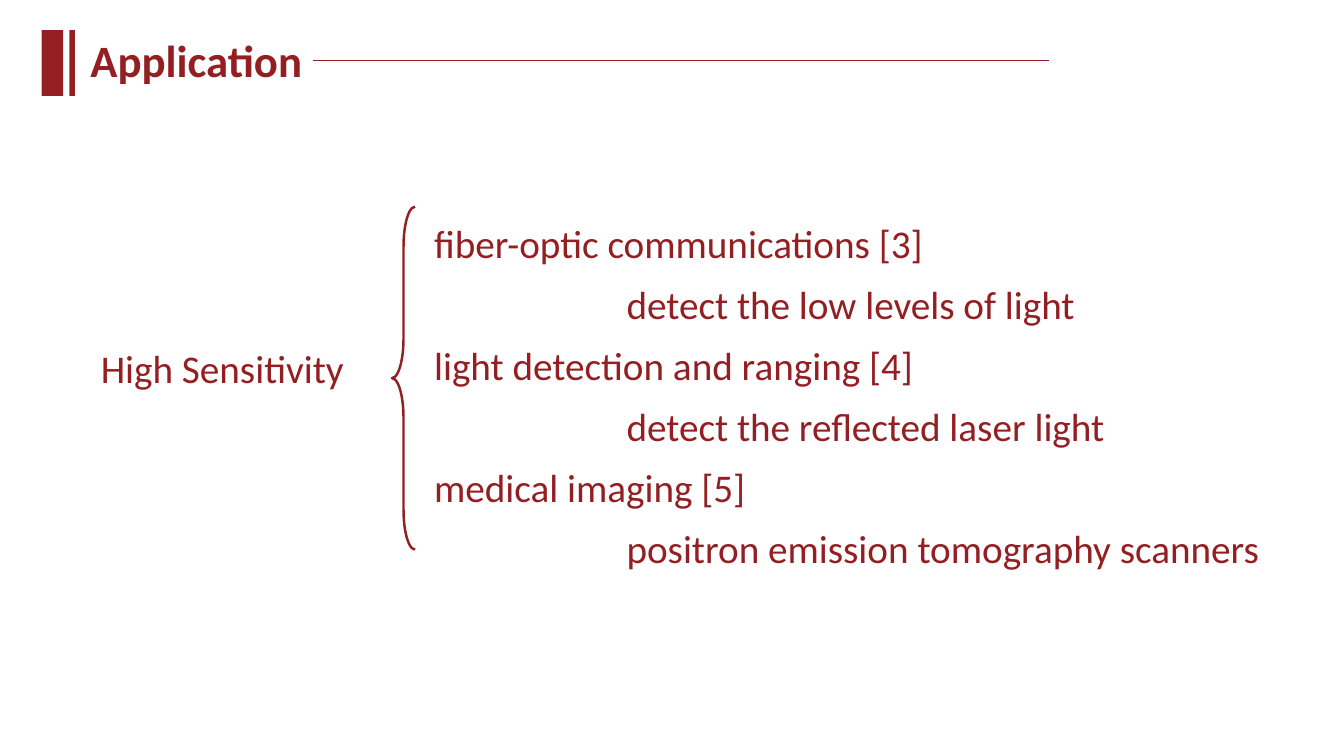
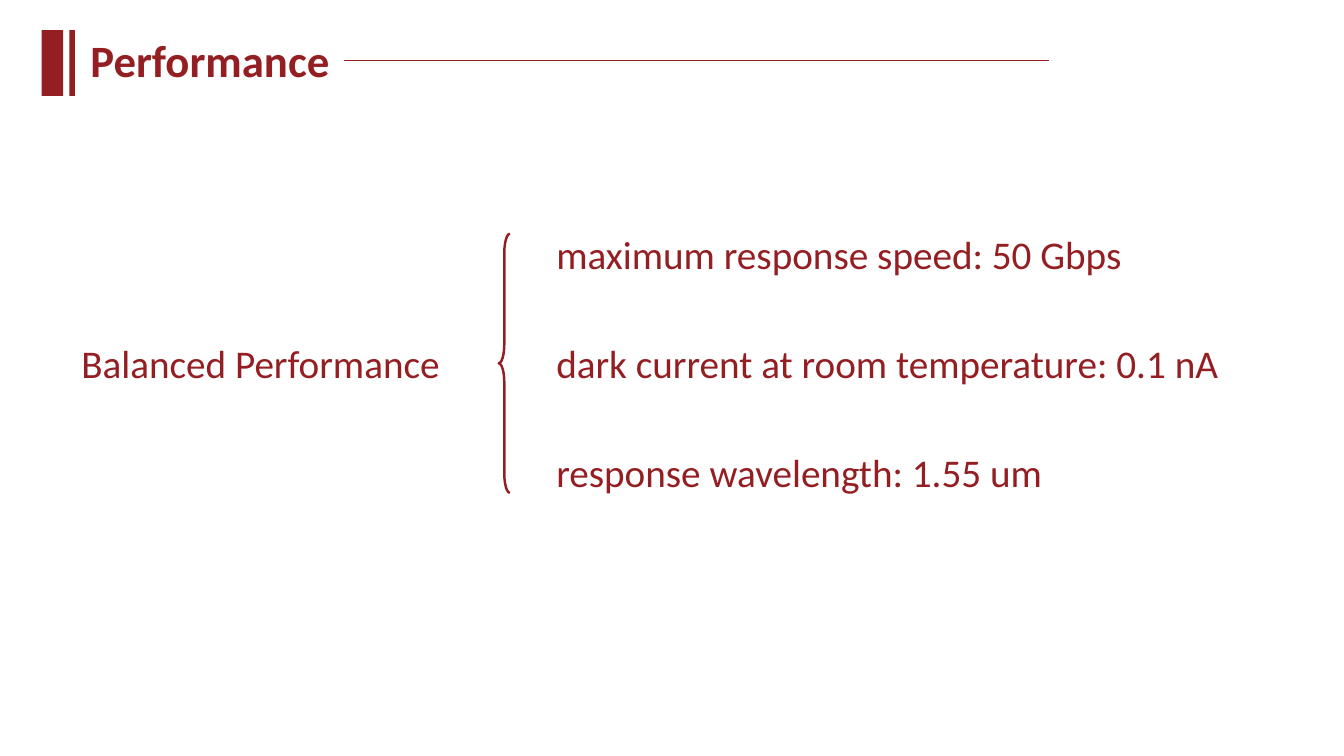
from lxml import etree
from pptx import Presentation
from pptx.dml.color import RGBColor
from pptx.enum.shapes import MSO_CONNECTOR, MSO_SHAPE
from pptx.enum.text import MSO_AUTO_SIZE
from pptx.oxml.ns import qn
from pptx.util import Cm, Pt

RECTANGLE = MSO_SHAPE.RECTANGLE
LEFT_BRACE = MSO_SHAPE.LEFT_BRACE
STRAIGHT = MSO_CONNECTOR.STRAIGHT
FIT_SHAPE = MSO_AUTO_SIZE.SHAPE_TO_FIT_TEXT
RIGHT_SIDE = 3
BLANK_LAYOUT = 6


def color(hex_value):
    return RGBColor.from_string(hex_value)


class Deck:
    """Hold the shared style and draw elements on the current slide."""

    FONT = "Calibri"
    ACCENT = "941F23"
    TITLE_SIZE = 32
    BODY_SIZE = 28
    TITLE_HEIGHT = 1.63
    BODY_HEIGHT = 1.45
    RULE_END = 26.44

    def __init__(self):
        self.presentation = Presentation()
        self.presentation.slide_width = Cm(33.87)
        self.presentation.slide_height = Cm(19.05)
        self.slide = None

    def start_slide(self, title, title_width):
        layout = self.presentation.slide_layouts[BLANK_LAYOUT]
        self.slide = self.presentation.slides.add_slide(layout)
        for left, width in ((1.05, 0.54), (1.75, 0.14)):
            self.bar(left, 0.76, width, 1.66)
        heading = self.text(title, 2.03, 0.71, title_width, self.TITLE_HEIGHT,
                            self.TITLE_SIZE, bold=True, wrap=True)
        self.rule(heading)

    def bar(self, left, top, width, height):
        bar = self.slide.shapes.add_shape(
            RECTANGLE, Cm(left), Cm(top), Cm(width), Cm(height))
        bar.shadow.inherit = False
        bar.fill.solid()
        bar.fill.fore_color.rgb = color(self.ACCENT)
        bar.line.fill.background()

    def rule(self, heading):
        middle = heading.top + heading.height // 2
        rule = self.slide.shapes.add_connector(
            STRAIGHT, heading.left + heading.width, middle,
            Cm(self.RULE_END), middle)
        rule.begin_connect(heading, RIGHT_SIDE)
        rule.line.color.rgb = color(self.ACCENT)
        rule.line.width = Pt(1.25)
        etree.SubElement(rule._element.spPr, qn("a:effectLst"))

    def text(self, words, left, top, width, height=BODY_HEIGHT,
             size=BODY_SIZE, bold=False, wrap=False):
        box = self.slide.shapes.add_textbox(
            Cm(left), Cm(top), Cm(width), Cm(height))
        frame = box.text_frame
        frame.text = words
        frame.word_wrap = wrap
        frame.auto_size = FIT_SHAPE
        font = frame.paragraphs[0].runs[0].font
        font.name = self.FONT
        font.size = Pt(size)
        font.bold = bold
        font.color.rgb = color(self.ACCENT)
        return box

    def rows(self, entries, top, step):
        for index, (words, left, width) in enumerate(entries):
            self.text(words, left, top + index * step, width)

    def brace(self, left, top, width, height):
        brace = self.slide.shapes.add_shape(
            LEFT_BRACE, Cm(left), Cm(top), Cm(width), Cm(height))
        brace.adjustments[0] = 1.725
        brace.shadow.inherit = False
        brace.fill.background()
        brace.line.color.rgb = color(self.ACCENT)
        brace.line.width = Pt(1.75)


def add_application(deck):
    use_left, detail_left = 10.69, 15.54
    deck.start_slide("Application", 5.87)
    deck.text("High Sensitivity", 2.29, 8.56, 6.71)
    deck.brace(9.88, 5.21, 0.58, 8.64)
    deck.rows((
        ("fiber-optic communications [3]", use_left, 13.03),
        ("detect the low levels of light", detail_left, 11.91),
        ("light detection and ranging [4]", use_left, 12.73),
        ("detect the reflected laser light", detail_left, 12.67),
        ("medical imaging [5]", use_left, 8.43),
        ("positron emission tomography scanners", detail_left, 16.64),
    ), 5.39, 1.54)


def add_performance(deck):
    measure_left = 13.77
    deck.start_slide("Performance", 6.63)
    deck.text("Balanced Performance", 1.8, 8.43, 9.65)
    deck.brace(12.57, 5.89, 0.28, 6.53)
    deck.rows((
        ("maximum response speed: 50 Gbps", measure_left, 14.94),
        ("dark current at room temperature: 0.1 nA", measure_left, 17.4),
        ("response wavelength: 1.55 um", measure_left, 12.9),
    ), 5.69, 2.74)


def main():
    deck = Deck()
    add_application(deck)
    add_performance(deck)
    deck.presentation.save("out.pptx")


if __name__ == "__main__":
    main()
